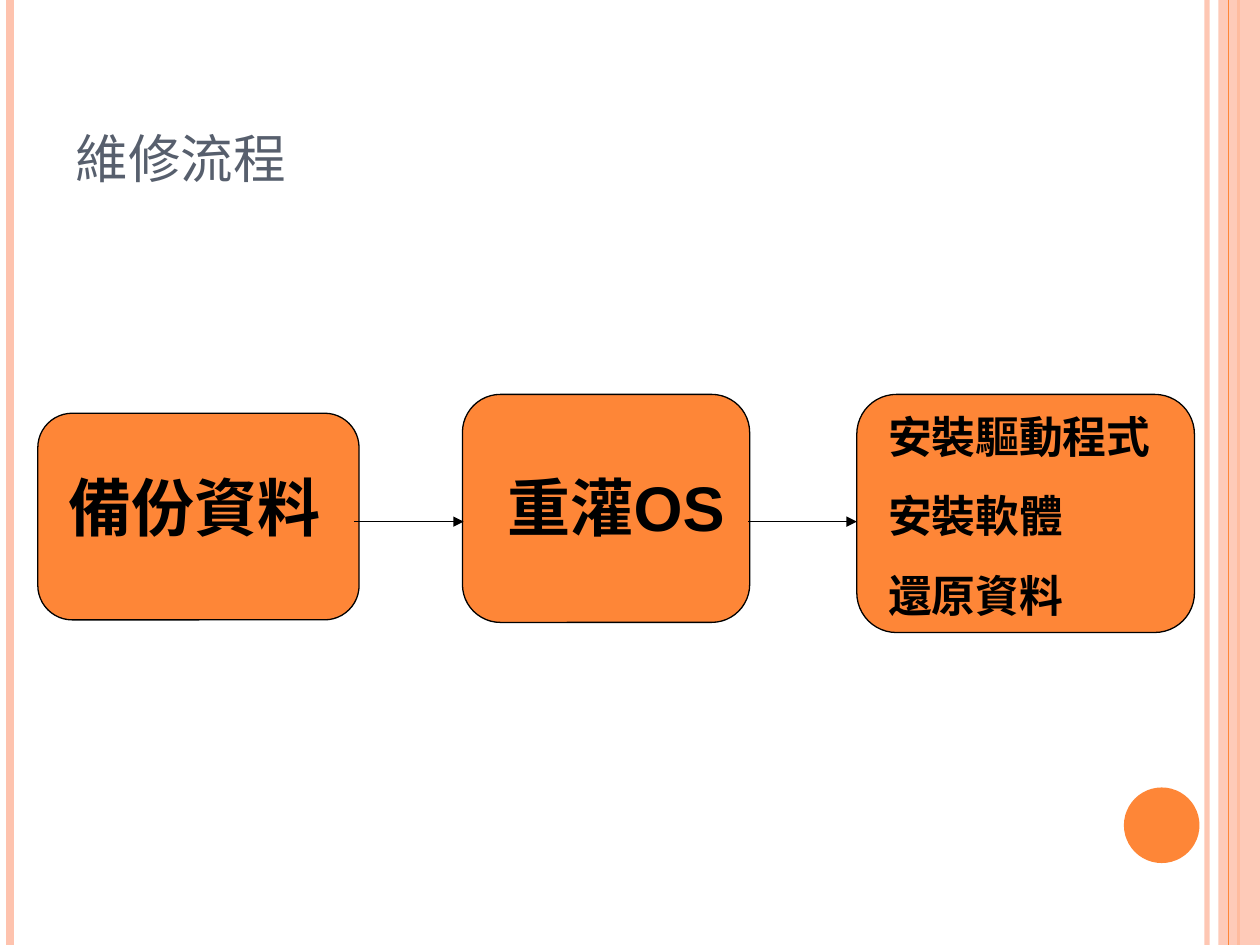
from lxml import etree
from pptx import Presentation
from pptx.dml.color import RGBColor
from pptx.enum.shapes import MSO_CONNECTOR, MSO_SHAPE
from pptx.enum.text import MSO_ANCHOR, PP_ALIGN
from pptx.oxml.ns import qn
from pptx.util import Inches, Pt

ORANGE = RGBColor(0xFE, 0x86, 0x37)
PEACH = RGBColor(0xFE, 0xC3, 0xAE)
SLATE = RGBColor(0x57, 0x5F, 0x6D)
BLACK = RGBColor(0, 0, 0)

COLS, ROWS = 100, 75
CELL = Inches(0.1)


def grid(*cells):
    """Turn grid columns and rows into slide lengths."""
    return [round(c * CELL) for c in cells]


def set_alpha(fill, percent):
    color = fill._xPr.find(qn("a:solidFill"))[0]
    etree.SubElement(color, qn("a:alpha"), val=str(percent * 1000))


def write(tf, text, size, font="Arial", color=BLACK, bold=False,
          align=PP_ALIGN.LEFT, anchor=MSO_ANCHOR.TOP, gap=0):
    tf.word_wrap = True
    tf.vertical_anchor = anchor
    for i, line in enumerate(text.split("\n")):
        p = tf.add_paragraph() if i else tf.paragraphs[0]
        p.alignment = align
        p.space_before = Pt(gap if i else 0)
        r = p.add_run()
        r.text = line
        r.font.name, r.font.size, r.font.bold = font, Pt(size), bold
        r.font.color.rgb = color


def add_block(shapes, kind, box, color, outline=None):
    sp = shapes.add_shape(kind, *grid(*box))
    sp.shadow.inherit = False
    sp.fill.solid()
    sp.fill.fore_color.rgb = color
    if outline is None:
        sp.line.fill.background()
    else:
        sp.line.color.rgb = outline
        sp.line.width = Pt(0.75)
    return sp


def add_line(s, x1, y1, x2, y2, color, width, arrow=False):
    ln = s.shapes.add_connector(MSO_CONNECTOR.STRAIGHT, *grid(x1, y1, x2, y2))
    ln.line.color.rgb = color
    ln.line.width = Pt(width)
    if arrow:
        etree.SubElement(ln.line._get_or_add_ln(), qn("a:tailEnd"), type="triangle")
    etree.SubElement(ln._element.spPr, qn("a:effectLst"))
    return ln


def add_frame(s):
    """Draw the vertical stripes and the dot at the slide's edges."""
    def stripe(x, color, width):
        return add_line(s, x, 0, x, ROWS, color, width)

    set_alpha(stripe(95.8, PEACH, 3).line.fill, 93)
    stripe(0.8, PEACH, 4.5)
    stripe(98.3, ORANGE, 1.5)
    band = add_block(s.shapes, MSO_SHAPE.RECTANGLE, (96.7, 0, COLS - 96.7, ROWS), PEACH)
    set_alpha(band.fill, 87)
    stripe(97.5, ORANGE, 0.75)
    add_block(s.shapes, MSO_SHAPE.OVAL, (89.2, 62.5, 6, 6), ORANGE)


def add_title(s, box, text):
    title = s.shapes.title
    title.left, title.top, title.width, title.height = grid(*box)
    write(title.text_frame, text, 30, font="TeX Gyre Schola", color=SLATE,
          anchor=MSO_ANCHOR.BOTTOM)


def add_step(s, box, label, text, **fmt):
    """Group a rounded box with its text; label is placed from the box's corner."""
    shapes = s.shapes.add_group_shape().shapes
    add_block(shapes, MSO_SHAPE.ROUNDED_RECTANGLE, box, ORANGE, BLACK)
    x, y, w, h = label
    tb = shapes.add_textbox(*grid(box[0] + x, box[1] + y, w, h))
    write(tb.text_frame, text, bold=True, **fmt)


def add_flow(s):
    large = dict(size=36, align=PP_ALIGN.CENTER)
    steps = [
        ((3, 32.8, 25.5, 16.4), (-1.4, 3.9, 27.7, 7), "備份資料", large),
        ((36.7, 31.3, 22.8, 18.1), (0, 5.4, 24.4, 7), "重灌OS", large),
        ((68, 31.3, 26.8, 18.9), (1.5, 0.7, 26.8, 17.9),
         "安裝驅動程式\n安裝軟體\n還原資料", dict(size=25, gap=15.6)),
    ]
    for box, label, text, fmt in steps:
        add_step(s, box, label, text, **fmt)
    for start, end in ((28.1, 36.8), (59.4, 68)):
        add_line(s, start, 41.4, end, 41.4, BLACK, 0.75, arrow=True)


def main():
    prs = Presentation()
    prs.slide_width, prs.slide_height = grid(COLS, ROWS)
    s = prs.slides.add_slide(prs.slide_layouts[5])
    add_frame(s)
    add_title(s, (5, 3, 81.7, 12.5), "維修流程")
    add_flow(s)
    prs.save("out.pptx")


if __name__ == "__main__":
    main()
